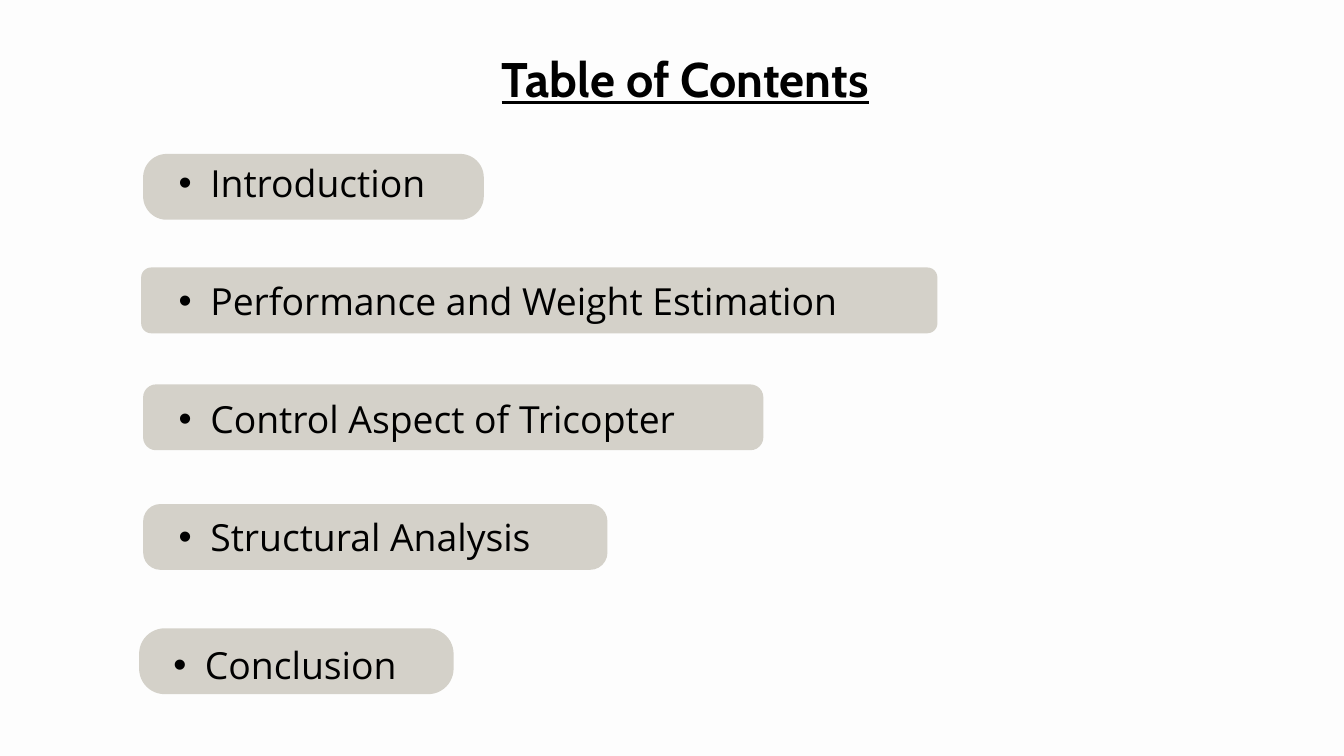
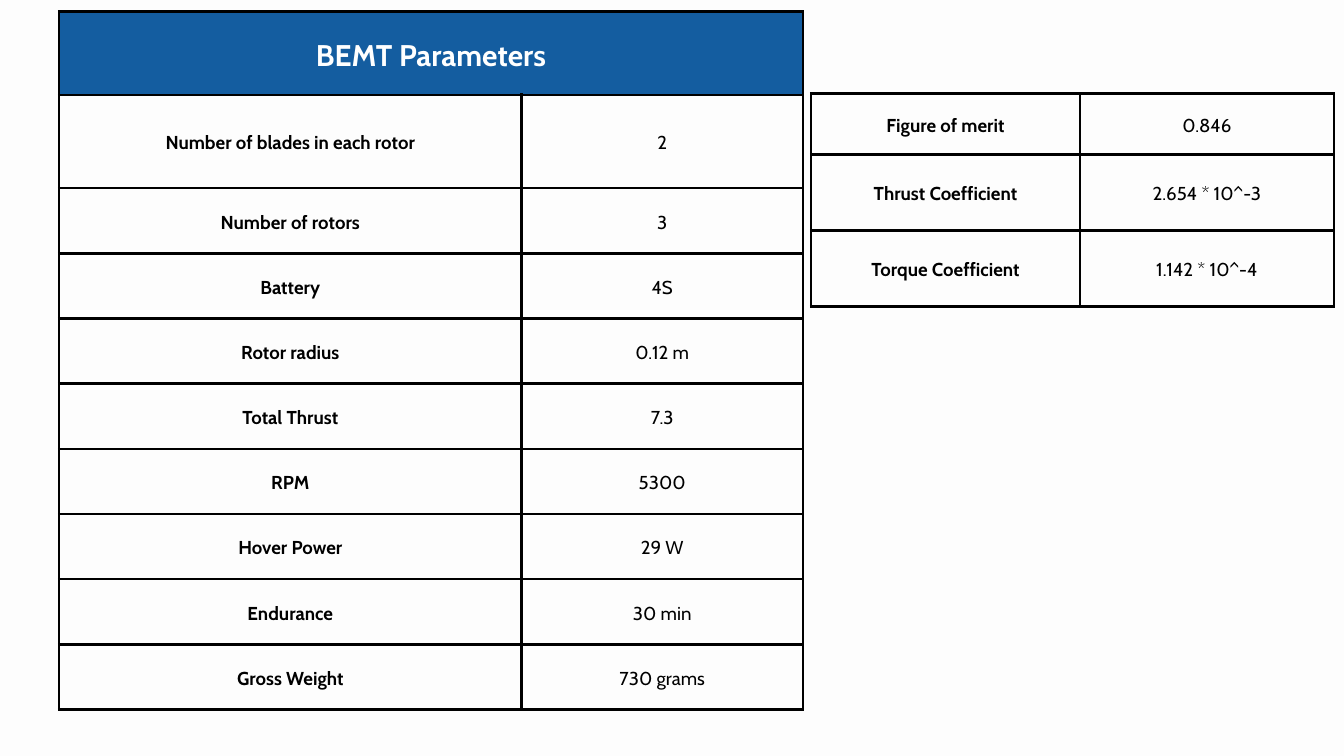
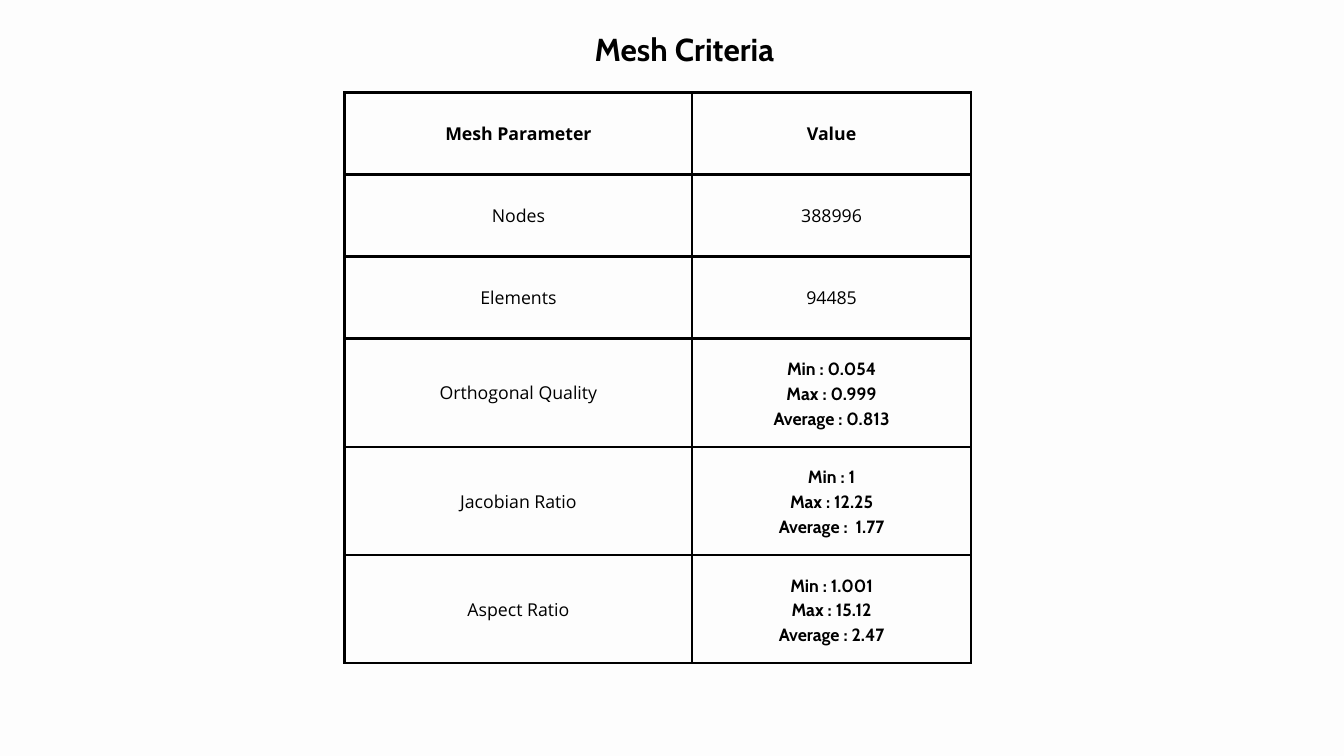
from dataclasses import dataclass

from lxml.etree import SubElement
from pptx import Presentation
from pptx.dml.color import RGBColor
from pptx.enum.shapes import MSO_SHAPE
from pptx.enum.text import MSO_ANCHOR, MSO_AUTO_SIZE, PP_ALIGN
from pptx.oxml.ns import qn
from pptx.util import Inches, Pt


@dataclass(frozen=True)
class Theme:
    paper: str = "FDFDFD"
    ink: str = "000000"
    pill: str = "D4D1C9"
    header: str = "145DA0"
    header_ink: str = "FFFFFF"
    display: str = "Cabin"
    body: str = "Open Sans"
    contents_title: int = 52
    topic: int = 40
    mesh_title: int = 34
    table_title: int = 32
    bemt_cell: int = 20
    mesh_cell: int = 19
    leading: float = 1.4
    border: int = 3


THEME = Theme()

CONTENTS_TITLE = "Table of Contents"
# topic, pill left, pill top, width, label left, label top
TOPICS = [
    ("Introduction", 2.13, 2.29, 5.07, 2.13, 2.01),
    ("Performance and Weight Estimation", 2.1, 3.98, 11.85, 2.13, 3.77),
    ("Control Aspect of Tricopter", 2.13, 5.72, 9.23, 2.13, 5.52),
    ("Structural Analysis", 2.13, 7.5, 6.91, 2.13, 7.28),
    ("Conclusion", 2.07, 9.35, 4.68, 2.05, 9.19),
]
PILL_HEIGHT, LABEL_HEIGHT = 0.98, 1.3
ROUNDING = 1.78  # corner radius times pill width

BEMT_TITLE = "BEMT Parameters"
BEMT_PARAMETERS = [
    ("Number of blades in each rotor", "2"),
    ("Number of rotors", "3"),
    ("Battery", "4S"),
    ("Rotor radius", "0.12 m"),
    ("Total Thrust", "7.3"),
    ("RPM", "5300"),
    ("Hover Power", "29 W"),
    ("Endurance", "30 min"),
    ("Gross Weight", "730 grams"),
]
COEFFICIENTS = [
    ("Figure of merit", "0.846"),
    ("Thrust Coefficient", "2.654 * 10^-3"),
    ("Torque Coefficient", "1.142 * 10^-4"),
]

MESH_TITLE = "Mesh Criteria"
MESH_HEADINGS = ("Mesh Parameter", "Value")
MESH_COUNTS = [("Nodes", "388996"), ("Elements", "94485")]
MESH_RANGES = [
    ("Orthogonal Quality", "Min : 0.054\nMax : 0.999\nAverage : 0.813"),
    ("Jacobian Ratio", "Min : 1\nMax : 12.25\nAverage :  1.77"),
    ("Aspect Ratio", "Min : 1.001\nMax : 15.12\nAverage : 2.47"),
]


def rgb(code):
    return RGBColor.from_string(code)


def write_text(frame, text, *, size, font=THEME.display, color=THEME.ink,
               bold=False, underline=False, align=PP_ALIGN.CENTER, bullet=False):
    """Fill a text frame with one paragraph per line of text."""
    for number, line in enumerate(text.split("\n")):
        paragraph = frame.add_paragraph() if number else frame.paragraphs[0]
        paragraph.alignment = align
        paragraph.line_spacing = Pt(size * THEME.leading)
        if bullet:
            paragraph.level = 1
            properties = paragraph._p.get_or_add_pPr()
            properties.set("marL", str(Inches(0.94)))
            properties.set("indent", str(Inches(-0.47)))
            SubElement(properties, qn("a:buFont"), typeface="Arial")
            SubElement(properties, qn("a:buChar"), char="•")
        run = paragraph.add_run()
        run.text = line
        run.font.size = Pt(size)
        run.font.name = font
        run.font.bold = bold
        run.font.underline = underline
        run.font.color.rgb = rgb(color)


def set_margins(holder, inches):
    holder.margin_left = holder.margin_right = Inches(inches)
    holder.margin_top = holder.margin_bottom = Inches(inches)


def add_label(slide, text, box, margin=0, anchor=MSO_ANCHOR.TOP, grow=False, **style):
    frame = slide.shapes.add_textbox(*map(Inches, box)).text_frame
    frame.word_wrap = True
    frame.auto_size = MSO_AUTO_SIZE.SHAPE_TO_FIT_TEXT if grow else MSO_AUTO_SIZE.NONE
    frame.vertical_anchor = anchor
    set_margins(frame, margin)
    write_text(frame, text, **style)


def add_title(slide, text, box, **style):
    add_label(slide, text, box, grow=True, bold=True, **style)


def add_border(cell):
    properties = cell._tc.get_or_add_tcPr()
    for side in "LRTB":
        line = SubElement(properties, qn(f"a:ln{side}"), w=str(Pt(THEME.border)))
        SubElement(SubElement(line, qn("a:solidFill")), qn("a:srgbClr"), val=THEME.ink)


def add_grid(slide, left, top, widths, heights):
    """Add an empty, bordered table and return it."""
    table = slide.shapes.add_table(
        len(heights), len(widths), Inches(left), Inches(top),
        Inches(sum(widths)), Inches(sum(heights))).table
    table.first_row = table.horz_banding = False
    for column, width in zip(table.columns, widths):
        column.width = Inches(width)
    for row, height in zip(table.rows, heights):
        row.height = Inches(height)
    for cell in table.iter_cells():
        add_border(cell)
        cell.fill.background()
        cell.vertical_anchor = MSO_ANCHOR.MIDDLE
        set_margins(cell, 0.21)
    return table


def fill_rows(table, first_row, pairs, name_style, value_style):
    for row, pair in enumerate(pairs, first_row):
        for column, style in enumerate((name_style, value_style)):
            write_text(table.cell(row, column).text_frame, pair[column], **style)


def new_slide(deck):
    slide = deck.slides.add_slide(deck.slide_layouts[6])
    slide.background.fill.solid()
    slide.background.fill.fore_color.rgb = rgb(THEME.paper)
    return slide


def add_pill(slide, left, top, width):
    pill = slide.shapes.add_shape(
        MSO_SHAPE.ROUNDED_RECTANGLE, Inches(left), Inches(top),
        Inches(width), Inches(PILL_HEIGHT))
    pill.adjustments[0] = ROUNDING / width / PILL_HEIGHT
    pill.shadow.inherit = False
    pill.fill.solid()
    pill.fill.fore_color.rgb = rgb(THEME.pill)
    pill.line.fill.background()


def build_contents(deck):
    slide = new_slide(deck)
    add_title(slide, CONTENTS_TITLE, (6.41, 0.59, 7.57, 0.97),
              size=THEME.contents_title, underline=True)
    for topic, left, top, width, label_left, label_top in TOPICS:
        add_pill(slide, left, top, width)
        add_label(slide, topic, (label_left, label_top, width, LABEL_HEIGHT),
                  margin=0.06, anchor=MSO_ANCHOR.MIDDLE, size=THEME.topic,
                  font=THEME.body, align=PP_ALIGN.LEFT, bullet=True)


def build_bemt(deck):
    slide = new_slide(deck)
    name_style = dict(size=THEME.bemt_cell, bold=True)
    value_style = dict(size=THEME.bemt_cell)

    parameters = add_grid(slide, 0.88, 0.17, [6.88, 4.19], [1.24, 1.39] + [0.97] * 8)
    header = parameters.cell(0, 0)
    header.merge(parameters.cell(0, 1))
    header.fill.solid()
    header.fill.fore_color.rgb = rgb(THEME.header)
    write_text(header.text_frame, BEMT_TITLE, size=THEME.table_title,
               color=THEME.header_ink, bold=True)
    fill_rows(parameters, 1, BEMT_PARAMETERS, name_style, value_style)

    coefficients = add_grid(slide, 12.07, 1.39, [4, 3.78], [0.91, 1.13, 1.13])
    fill_rows(coefficients, 0, COEFFICIENTS, name_style, value_style)


def build_mesh(deck):
    slide = new_slide(deck)
    plain = dict(size=THEME.mesh_cell, font=THEME.body)
    heading = dict(plain, bold=True)
    ranges = dict(size=THEME.mesh_cell, bold=True)

    criteria = add_grid(slide, 5.13, 1.38, [5.17, 4.15], [1.22] * 3 + [1.61] * 3)
    fill_rows(criteria, 0, [MESH_HEADINGS], heading, heading)
    fill_rows(criteria, 1, MESH_COUNTS, plain, plain)
    fill_rows(criteria, 3, MESH_RANGES, plain, ranges)
    add_title(slide, MESH_TITLE, (8.45, 0.35, 3.47, 0.63), size=THEME.mesh_title)


def main():
    deck = Presentation()
    deck.slide_width, deck.slide_height = Inches(20), Inches(11.25)
    build_contents(deck)
    build_bemt(deck)
    build_mesh(deck)
    deck.save("out.pptx")


if __name__ == "__main__":
    main()
